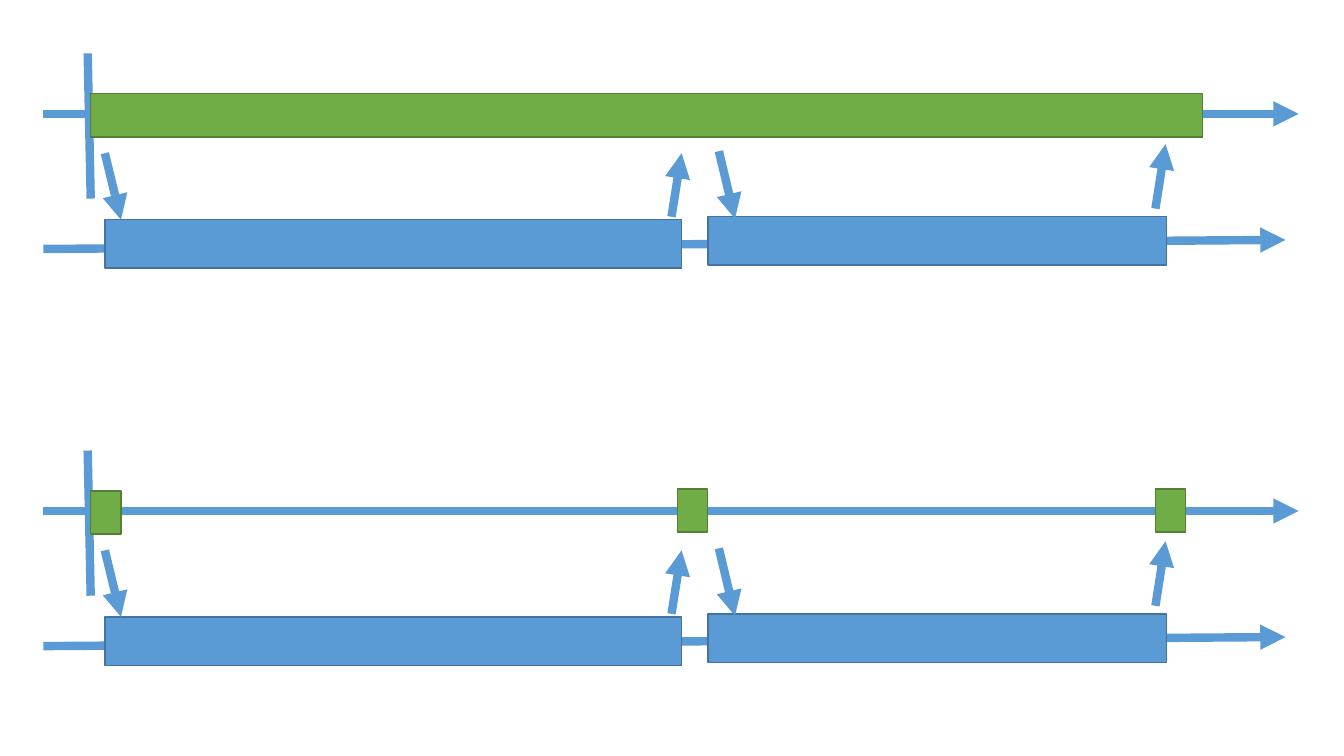
from lxml import etree
from pptx import Presentation
from pptx.dml.color import RGBColor
from pptx.enum.shapes import MSO_CONNECTOR, MSO_SHAPE
from pptx.oxml.ns import qn
from pptx.util import Inches, Pt

BLUE, BLUE_EDGE = "5B9BD5", "43739E"
GREEN, GREEN_EDGE = "70AD47", "538035"

MAIN_BAR_HEIGHT, WORKER_BAR_HEIGHT = 0.43, 0.48
# Offsets from the top left corner of a timeline: (left, top, width)
WORKER_BARS = [(0.61, 1.65, 5.72), (6.59, 1.62, 4.55)]
BLOCKING_BARS = [(0.47, 0.4, 11.03)]
ASYNC_BARS = [(0.47, 0.4, 0.3), (6.29, 0.38, 0.3), (11.03, 0.38, 0.3)]
# Offsets of start and end of the calls and returns between the two threads
HANDOFFS = [
    ((0.61, 0.99), (0.77, 1.65)),
    ((6.23, 1.62), (6.33, 0.99)),
    ((6.7, 0.97), (6.86, 1.64)),
    ((11.03, 1.54), (11.13, 0.9)),
]


def color(hex_value):
    return RGBColor.from_string(hex_value)


def add_line(slide, origin, start, end, arrow=True):
    left, top = origin
    line = slide.shapes.add_connector(
        MSO_CONNECTOR.STRAIGHT,
        Inches(left + start[0]), Inches(top + start[1]),
        Inches(left + end[0]), Inches(top + end[1]),
    )
    line.line.color.rgb = color(BLUE)
    line.line.width = Pt(6)
    if arrow:
        outline = line.line._get_or_add_ln()
        etree.SubElement(outline, qn("a:tailEnd"), type="triangle")
    etree.SubElement(line._element.spPr, qn("a:effectLst"))


def add_bars(slide, origin, bars, height, fill, edge):
    for left, top, width in bars:
        bar = slide.shapes.add_shape(
            MSO_SHAPE.RECTANGLE,
            Inches(origin[0] + left), Inches(origin[1] + top),
            Inches(width), Inches(height),
        )
        bar.shadow.inherit = False
        bar.fill.solid()
        bar.fill.fore_color.rgb = color(fill)
        bar.line.color.rgb = color(edge)
        bar.line.width = Pt(1)


def add_timeline(slide, origin, main_bars):
    """Draw a main thread above a worker thread, with origin as top left corner."""
    add_line(slide, origin, (0, 0.6), (12.45, 0.6))
    add_line(slide, origin, (0.44, 0), (0.47, 1.44), arrow=False)
    add_bars(slide, origin, main_bars, MAIN_BAR_HEIGHT, GREEN, GREEN_EDGE)
    add_line(slide, origin, (0, 1.94), (12.32, 1.85))
    add_bars(slide, origin, WORKER_BARS, WORKER_BAR_HEIGHT, BLUE, BLUE_EDGE)
    for start, end in HANDOFFS:
        add_line(slide, origin, start, end)


def main():
    presentation = Presentation()
    presentation.slide_width = Inches(13.33)
    presentation.slide_height = Inches(7.5)
    slide = presentation.slides.add_slide(presentation.slide_layouts[6])
    add_timeline(slide, (0.43, 0.53), BLOCKING_BARS)
    add_timeline(slide, (0.43, 4.47), ASYNC_BARS)
    presentation.save("out.pptx")


if __name__ == "__main__":
    main()
